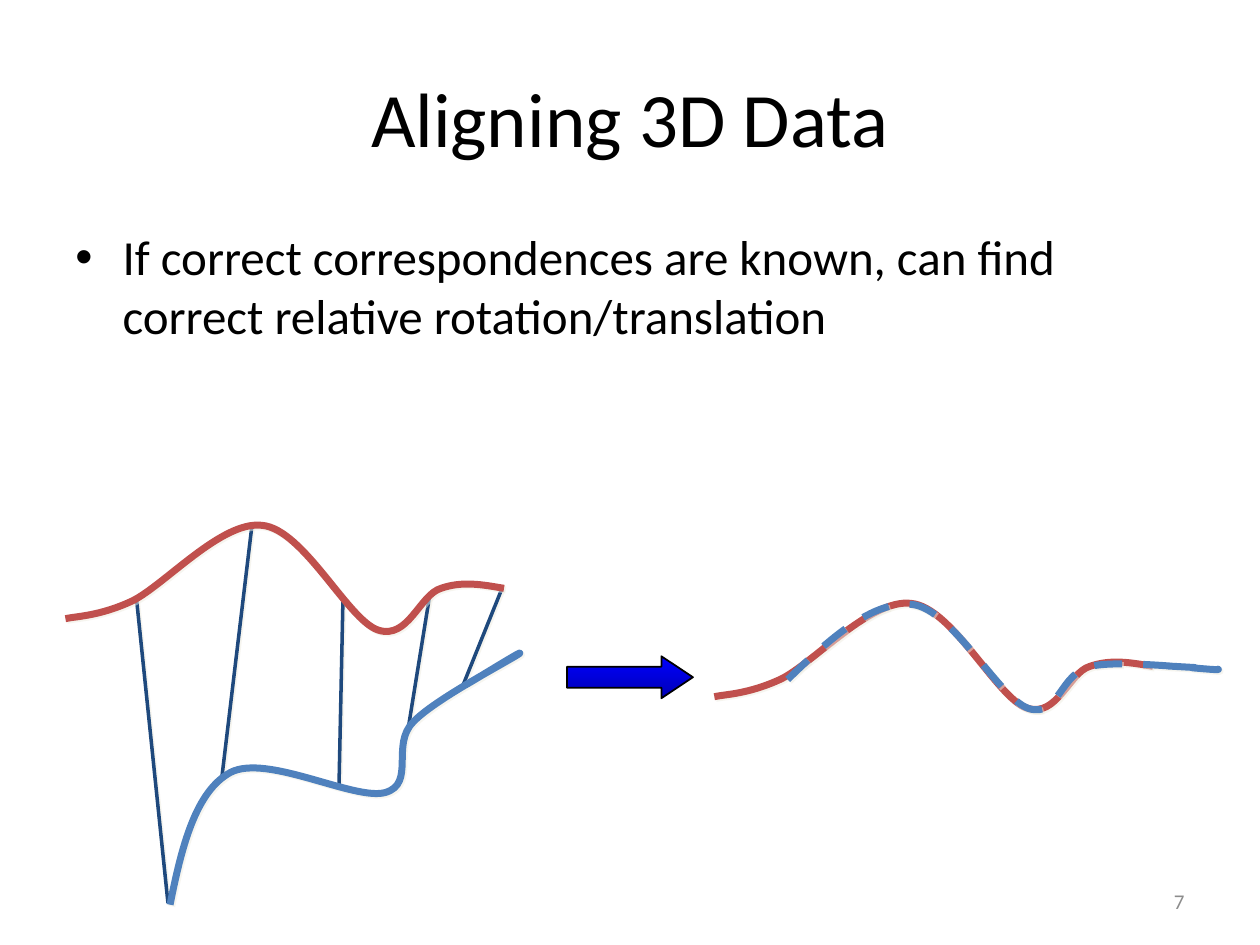
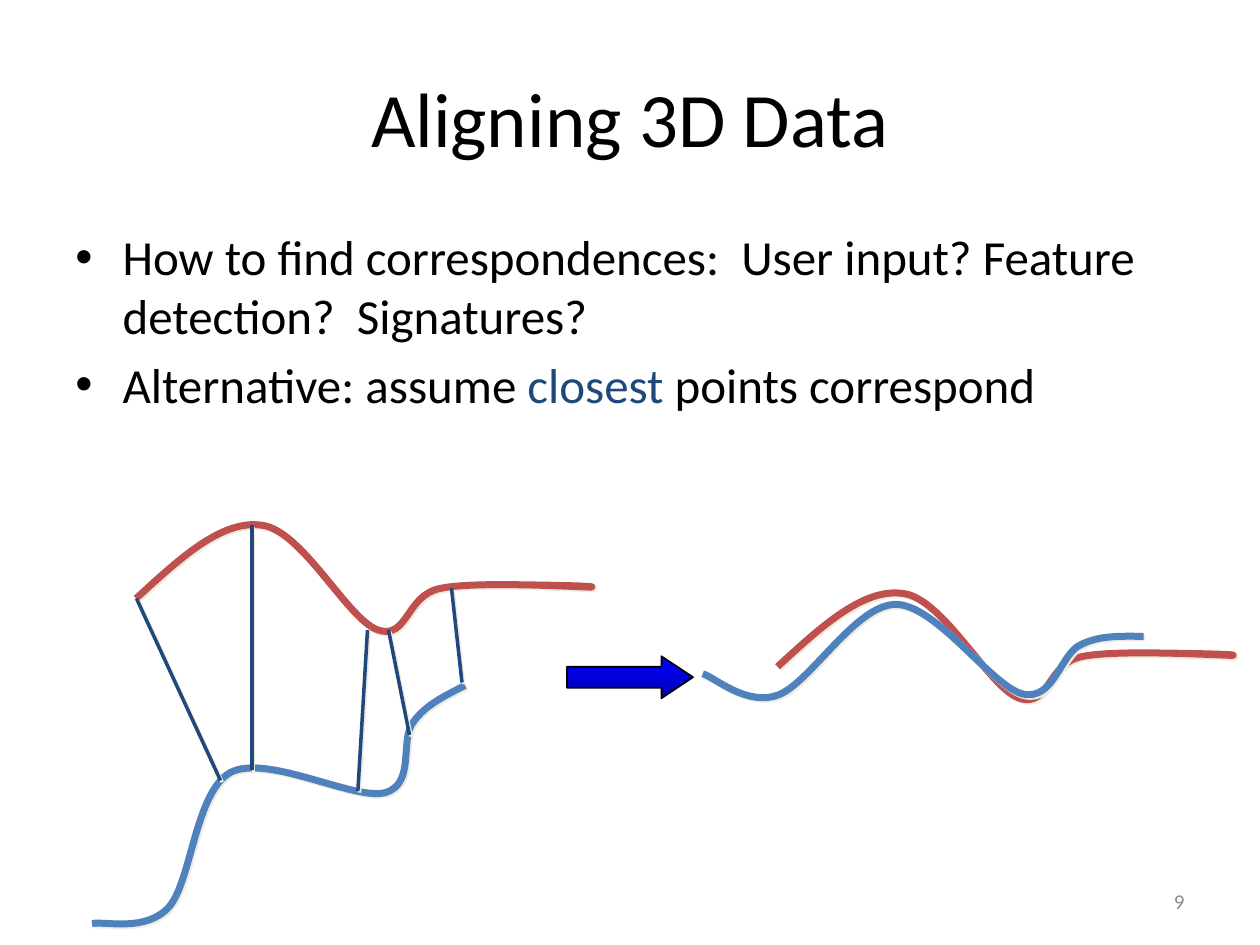
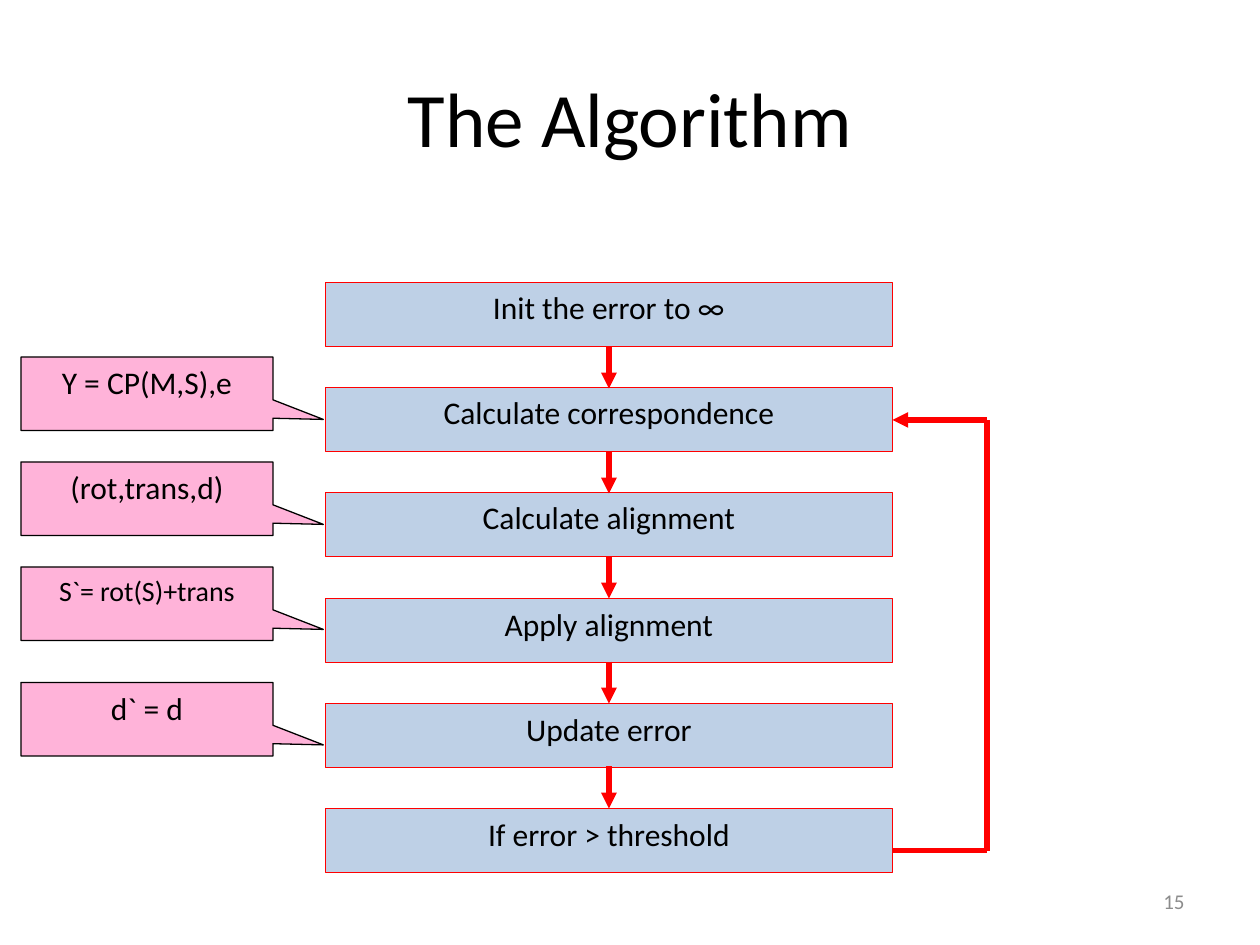
from itertools import pairwise

from lxml.etree import SubElement
from pptx import Presentation
from pptx.dml.color import RGBColor
from pptx.enum.dml import MSO_LINE
from pptx.enum.shapes import MSO_CONNECTOR, MSO_SHAPE
from pptx.enum.text import MSO_ANCHOR, PP_ALIGN
from pptx.oxml.ns import qn
from pptx.util import Pt

FONT = "Calibri"
HUES = {
    "ink": "000000", "grey": "8C8C8C", "navy": "1F497D", "blue": "4F81BD",
    "red": "C0504D", "flow": "FF0000", "pink": "FF99CC", "shade": "EEECE1",
    "bright": "0000FF", "deep": "0000B6",
}
LEFT = (0, 288)
KNOWN = {
    "red": [(37.4, 65.5), (43.9, 64.1), (56.9, 64.1), (75.6, 55.4),
            (94.3, 46.1), (126.7, 9.4), (149.8, 12.2),
            (173.5, 14.4), (198.7, 66.2), (216, 72),
            (233.3, 77.8), (239.8, 51.8), (252, 48.2),
            (264.2, 43.9), (275.8, 46.1), (288, 48.2)],
    "blue": [(97.2, 229), (103.7, 196.6), (111.6, 164.2), (131.8, 153.4),
             (152.6, 142.6), (203, 169.9), (220.3, 164.9),
             (237.6, 159.8), (223.2, 137.5), (236.2, 124.6),
             (248.4, 111.6), (291.6, 89.3), (296.6, 85.7),
             (301, 82.1), (272.2, 100.1), (265.7, 103.7)],
    "links": [((78, 54), (96, 228)), ((144, 12), (126.7, 157)),
              ((196, 54), (193.7, 162)), ((287, 48), (264, 105)),
              ((245.5, 52.6), (233, 130))],
}
CLOSE = {
    "red": [(77.8, 54), (102.2, 31.7), (126.7, 8.6), (149.8, 12.2),
            (172.8, 15.1), (198.7, 66.2), (216, 72),
            (233.3, 77.8), (231.8, 51.8), (252, 48.2),
            (272.2, 43.9), (331.9, 47.5), (337.7, 47.5),
            (343.4, 46.8), (297.4, 46.1), (286.6, 46.1)],
    "blue": [(52.6, 239.8), (59.8, 238.3), (83.5, 244.8), (96.5, 230.4),
             (109.4, 216), (111.6, 164.2), (131.8, 153.4),
             (152.6, 142.6), (203, 169.9), (220.3, 164.9),
             (237.6, 159.8), (228.2, 134.6), (236.2, 124.6),
             (243.4, 114.5), (254.9, 109.4), (265.7, 103.7)],
    "links": [((78, 54), (126, 158)), ((222, 72), (234, 132)),
              ((258, 48), (264, 102)), ((144, 12), (144, 152)),
              ((210, 72), (204.5, 164))],
}


def tint(name):
    return RGBColor.from_string(HUES[name])


def style(para, size, hue="ink", align=None):
    para.alignment = align
    para.font.name = FONT
    para.font.size = Pt(size)
    para.font.color.rgb = tint(hue)


def stroke(shape, hue, width):
    shape.line.color.rgb = tint(hue)
    shape.line.width = Pt(width)


def shade(shape, alpha=None):
    effect = SubElement(shape._element.spPr, qn("a:effectLst"))
    if alpha:
        cast = SubElement(effect, qn("a:outerShdw"), blurRad="0", dist=str(Pt(1.4)),
                          dir="2700000", algn="ctr", rotWithShape="0")
        color = SubElement(cast, qn("a:srgbClr"), val=HUES["shade"])
        SubElement(color, qn("a:alpha"), val=str(alpha * 1000))


def join(slide, start, end, hue, width, alpha=None, head=False):
    line = slide.shapes.add_connector(
        MSO_CONNECTOR.STRAIGHT, *(Pt(v) for v in (*start, *end)))
    stroke(line, hue, width)
    if head:
        SubElement(line._element.spPr.find(qn("a:ln")), qn("a:tailEnd"), type="triangle")
    shade(line, alpha)


def bend(shape):
    trace = next(shape._element.iter(qn("a:path")))
    legs = trace.findall(qn("a:lnTo"))
    for i in range(0, len(legs), 3):
        arc = SubElement(trace, qn("a:cubicBezTo"))
        for leg in legs[i:i + 3]:
            arc.append(leg[0])
            trace.remove(leg)


def curve(slide, box, knots, hue, alpha, turn=0, dash=False):
    dots = [(Pt(box[0] + x), Pt(box[1] + y)) for x, y in knots]
    build = slide.shapes.build_freeform(*dots[0], scale=1.0)
    build.add_line_segments(dots[1:], close=False)
    shape = build.convert_to_shape()
    bend(shape)
    shape.rotation = turn
    shape.fill.background()
    stroke(shape, hue, 4)
    if dash:
        shape.line.dash_style = MSO_LINE.DASH
    shade(shape, alpha)


def links(slide, box, pairs, alpha):
    for pair in pairs:
        start, end = ((box[0] + x, box[1] + y) for x, y in pair)
        join(slide, start, end, "navy", 2, alpha)


def block(slide, kind, box):
    shape = slide.shapes.add_shape(kind, *(Pt(v) for v in box))
    shape.shadow.inherit = False
    return shape


def arrow(slide, box):
    shape = block(slide, MSO_SHAPE.RIGHT_ARROW, box)
    shape.adjustments[0] = 0.5
    shape.adjustments[1] = 0.75
    shape.fill.gradient()
    shape.fill.gradient_angle = 270
    for stop, hue, place in zip(shape.fill.gradient_stops, ("bright", "deep"), (0, 1)):
        stop.color.rgb = tint(hue)
        stop.position = place
    stroke(shape, "ink", 1)


def label(slide, kind, box, text, fill, alpha, edge, size=18):
    shape = block(slide, kind, box)
    shape.fill.solid()
    shape.fill.fore_color.rgb = tint(fill)
    color = shape._element.spPr.find(qn("a:solidFill"))[0]
    SubElement(color, qn("a:alpha"), val=str(alpha * 1000))
    stroke(shape, edge, 0.75)
    frame = shape.text_frame
    frame.word_wrap = True
    frame.vertical_anchor = MSO_ANCHOR.TOP
    frame.text = text
    style(frame.paragraphs[0], size, align=PP_ALIGN.CENTER)
    return shape


def text_box(slide, box):
    frame = slide.shapes.add_textbox(*(Pt(v) for v in box)).text_frame
    frame.word_wrap = True
    return frame


def new_slide(deck, title):
    slide = deck.slides.add_slide(deck.slide_layouts[5])
    head = slide.shapes.title
    head.left, head.top, head.width, head.height = (Pt(v) for v in (36, 21.6, 648, 90))
    head.text_frame.text = title
    head.text_frame.vertical_anchor = MSO_ANCHOR.MIDDLE
    style(head.text_frame.paragraphs[0], 44, align=PP_ALIGN.CENTER)
    return slide


def footer(slide, number):
    foot = text_box(slide, (516, 500.5, 168, 28.8))
    foot.vertical_anchor = MSO_ANCHOR.MIDDLE
    foot.text = number
    style(foot.paragraphs[0], 12, "grey", PP_ALIGN.RIGHT)


def bullets(slide, box, items):
    frame = text_box(slide, box)
    for i, item in enumerate(items):
        para = frame.add_paragraph() if i else frame.paragraphs[0]
        props = para._p.get_or_add_pPr()
        props.set("marL", str(Pt(27)))
        props.set("indent", str(-Pt(27)))
        SubElement(props, qn("a:buFont"), typeface="Arial")
        SubElement(props, qn("a:buChar"), char="•")
        if i:
            para.space_before = Pt(5.6)
        style(para, 28)
        for text, hue in item:
            run = para.add_run()
            run.text = text
            if hue:
                run.font.color.rgb = tint(hue)


def aligning(deck, number, items, data, red, blue, turn, alpha, dash=False, over=False):
    slide = new_slide(deck, "Aligning 3D Data")
    bullets(slide, (36, 126, 648, 356.4), items)
    if not over:
        links(slide, LEFT, data["links"], alpha)
    for hue in ("blue", "red"):
        curve(slide, LEFT, data[hue], hue, alpha)
    if over:
        links(slide, LEFT, data["links"], alpha)
    arrow(slide, (324, 375, 72, 24))
    curve(slide, red, data["red"], "red", alpha)
    curve(slide, blue, data["blue"], "blue", alpha, turn, dash)
    footer(slide, number)


def flow(slide, box, steps):
    left, top, width, tall = box
    mid, side = left + width / 2, left + width
    tops = [top + 60 * i + (0.7 if i > 2 else 0) for i in range(len(steps))]
    for y, text in zip(tops, steps):
        label(slide, MSO_SHAPE.RECTANGLE, (left, y, width, tall), text, "blue", 37, "flow")
    low, high = top + 324.7, top + 78.7
    route = [(side, low), (side + 54, low), (side + 54, high), (side, high)]
    for start, end in pairwise(route):
        join(slide, start, end, "flow", 3, head=end == route[-1])
    for i in range(len(steps) - 1):
        y = top + tall + 60 * i
        join(slide, (mid, y), (mid, y + 24), "flow", 3, head=True)


def notes(slide, box, items):
    left, top, width, height = box
    for drop, text, size in items:
        shape = label(slide, MSO_SHAPE.RECTANGULAR_CALLOUT, (left, top + drop, width, height),
                      text, "pink", 74, "ink", size)
        shape.adjustments[0] = 0.7
        shape.adjustments[1] = 0.35


def algorithm(deck):
    slide = new_slide(deck, "The Algorithm")
    flow(slide, (186, 161.3, 324, 36.7), [
        "Init the error to ∞", "Calculate correspondence", "Calculate alignment",
        "Apply alignment", "Update error", "If error > threshold"])
    notes(slide, (12, 204, 144, 42), [
        (0, "Y = CP(M,S),e", 18), (60, "(rot,trans,d)", 18),
        (120, "S`= rot(S)+trans", 16), (186, "d` = d", 18)])
    footer(slide, "15")


def main():
    deck = Presentation()
    deck.slide_width, deck.slide_height = Pt(720), Pt(540)
    aligning(deck, "7", [
        [("If correct correspondences are known, can find correct relative "
          "rotation/translation", None)],
    ], KNOWN, (370.8, 332.6), (376.6, 229.7), 34.4, 50, dash=True)
    aligning(deck, "9", [
        [("How to find correspondences:  User input? Feature detection?  Signatures?", None)],
        [("Alternative: assume ", None), ("closest", "navy"), (" points correspond", None)],
    ], CLOSE, (366.5, 327), (367.2, 202.3), 27.7, 100, over=True)
    algorithm(deck)
    deck.save("out.pptx")


if __name__ == "__main__":
    main()
